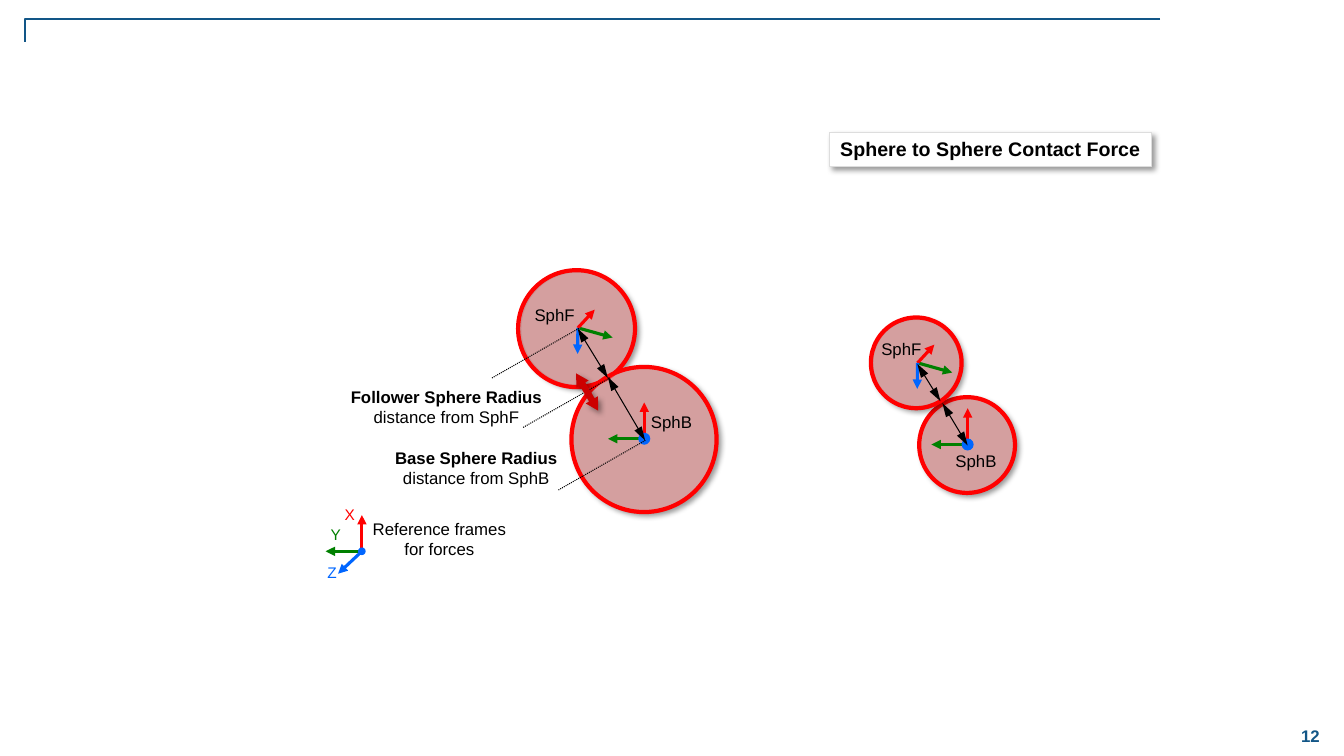
from lxml import etree
from pptx import Presentation
from pptx.dml.color import RGBColor
from pptx.enum import dml, shapes, text
from pptx.oxml import ns
from pptx.util import Pt

BLACK = RGBColor(0x00, 0x00, 0x00)
WHITE = RGBColor(0xFF, 0xFF, 0xFF)
NAVY = RGBColor(0x12, 0x56, 0x87)
RED = RGBColor(0xFF, 0x00, 0x00)
GREEN = RGBColor(0x00, 0x80, 0x00)
BLUE = RGBColor(0x00, 0x66, 0xFF)
PINK = RGBColor(0xEA, 0x80, 0x80)
GREY = RGBColor(0xBF, 0xBF, 0xBF)
GREY_EDGE = RGBColor(0xA6, 0xA6, 0xA6)
FORCE_RED = RGBColor(0xCC, 0x00, 0x00)
TITLE_EDGE = RGBColor(0xDD, 0xDD, 0xDD)

prs = Presentation()
prs.slide_width, prs.slide_height = Pt(960), Pt(540)
slide = prs.slides.add_slide(prs.slide_layouts[5])


def write(words, box, holder=None, size=12, color=BLACK, bold=False, lead=False,
          align=text.PP_ALIGN.CENTER, anchor=text.MSO_ANCHOR.TOP, wrap=False):
    """Fill a holder, or a new text box, with one paragraph; lead makes its first line bold."""
    if holder is None:
        holder = slide.shapes.add_textbox(0, 0, 0, 0)
    holder.left, holder.top, holder.width, holder.height = map(Pt, box)
    frame = holder.text_frame
    frame.word_wrap = wrap
    frame.auto_size = text.MSO_AUTO_SIZE.NONE
    frame.vertical_anchor = anchor
    paragraph = frame.paragraphs[0]
    paragraph.alignment = align
    for number, line in enumerate(words.split("\n")):
        if number:
            paragraph.add_line_break()
        run = paragraph.add_run()
        run.text = line
        run.font.name = "Arial"
        run.font.size = Pt(size)
        run.font.bold = bold or (lead and number == 0)
        run.font.color.rgb = color


def draw_line(start, end, color, width, heads=(), length="med",
              kind=shapes.MSO_CONNECTOR.STRAIGHT):
    """Draw a connector; heads lists its headEnd and tailEnd arrowheads."""
    line = slide.shapes.add_connector(kind, *map(Pt, start + end))
    line.line.color.rgb = color
    line.line.width = Pt(width)
    for head in heads:
        etree.SubElement(line.line._get_or_add_ln(), ns.qn(f"a:{head}"),
                         type="triangle", w="med", len=length)
    etree.SubElement(line._element.spPr, ns.qn("a:effectLst"))
    return line


# Slide frame and number
corner = draw_line((828.7, 13.7), (18, 30.2), NAVY, 1, kind=shapes.MSO_CONNECTOR.ELBOW)
corner_bend = corner._element.spPr.find(ns.qn("a:prstGeom")).get_or_add_avLst()
etree.SubElement(corner_bend, ns.qn("a:gd"), name="adj1", fmla="val 100000")
write("12", (912, 510.5, 48, 30), color=NAVY, bold=True, anchor=text.MSO_ANCHOR.MIDDLE)

# Title
title = slide.shapes.title
write("Sphere to Sphere Contact Force", (592.6, 94.5, 229.7, 24.5), title, size=14, bold=True)
title.fill.solid()
title.fill.fore_color.rgb = WHITE
title.line.color.rgb = TITLE_EDGE
title.line.width = Pt(0.75)
title.shadow.inherit = False
raised = [title]

# Spheres: a grey solid with a shadow, under a translucent contact surface
for is_surface, left, top, diameter in (
    (False, 371.5, 193.7, 82.1), (False, 408.2, 262.1, 103.7),
    (True, 370.1, 193, 83.5), (True, 408.2, 262.1, 103.7),
    (False, 656.6, 283.7, 68.4), (True, 656.6, 283.7, 68.4),
    (False, 622.8, 227.5, 63.4), (True, 622.1, 226.8, 64.8),
):
    sphere = slide.shapes.add_shape(shapes.MSO_SHAPE.OVAL, Pt(left), Pt(top),
                                    Pt(diameter), Pt(diameter))
    sphere.shadow.inherit = False
    sphere.fill.solid()
    sphere.fill.fore_color.rgb = PINK if is_surface else GREY
    sphere.line.color.rgb = RED if is_surface else GREY_EDGE
    sphere.line.width = Pt(3 if is_surface else 2)
    if is_surface:
        fill_color = sphere._element.spPr.find(f"{ns.qn('a:solidFill')}/{ns.qn('a:srgbClr')}")
        etree.SubElement(fill_color, ns.qn("a:alpha"), val="50000")
    else:
        raised.append(sphere)

# Reference frames, as axis tips measured from their origin
base_axes = [(RED, 0, -25.9), (GREEN, -25.9, 0)]
key_axes = base_axes + [(BLUE, -17, 16)]
follower_axes = [(GREEN, 24.8, 6.9), (RED, 12, -13), (BLUE, -0.2, 18.6)]
for x, y, axes, dot in (
    (258.5, 393.8, key_axes, 5.5), (460.2, 313.4, base_axes, 8.6),
    (691.2, 317.5, base_axes, 8.6), (412.8, 234.2, follower_axes, 0),
    (655.4, 259.2, follower_axes, 0),
):
    for color, dx, dy in axes:
        draw_line((x, y), (x + dx, y + dy), color, 2.25, ["tailEnd"])
    if dot:
        origin = slide.shapes.add_shape(shapes.MSO_SHAPE.OVAL, Pt(x - dot / 2),
                                        Pt(y - dot / 2), Pt(dot), Pt(dot))
        origin.shadow.inherit = False
        origin.fill.solid()
        origin.fill.fore_color.rgb = BLUE
        origin.line.fill.background()

# Radii from each centre to the contact point
for center, contact in (
    ((460.8, 314.6), (434.2, 269.3)), ((412.6, 234.7), (434.2, 270)),
    ((691.2, 318.2), (673.2, 288)), ((655.2, 259.9), (671.8, 286.6)),
):
    draw_line(center, contact, BLACK, 0.75, ["headEnd", "tailEnd"], length="lg")

# Dotted extension lines
for x, y in ((351.4, 270), (373.7, 305.3), (398.9, 350)):
    extension = draw_line((x, y), (x + 62.6, y - 35.7), BLACK, 0.75)
    extension.line.dash_style = dml.MSO_LINE.ROUND_DOT

# Contact force
force = slide.shapes.add_shape(shapes.MSO_SHAPE.LEFT_RIGHT_ARROW,
                               Pt(403.9), Pt(275), Pt(31), Pt(10.1))
force.adjustments[0], force.adjustments[1] = 0.45, 0.89
force.rotation = 59.3
force.shadow.inherit = False
force.fill.solid()
force.fill.fore_color.rgb = FORCE_RED
force.line.fill.background()
raised.append(force)

# Labels
write("Follower Sphere Radius\ndistance from SphF", (242.6, 272.9, 152.6, 36), lead=True)
write("Base Sphere Radius\ndistance from SphB", (274.3, 316.1, 131.8, 36), lead=True)
write("Reference frames\nfor forces", (258.5, 367.2, 110.9, 36))
for name, left, top in (("SphB", 457.9, 290.9), ("SphF", 374.4, 213.8),
                        ("SphB", 675.4, 318.2), ("SphF", 622.1, 238.3)):
    write(name, (left, top, 43.5, 21.6))
for name, color, left, top in (("X", RED, 239, 357.1), ("Y", GREEN, 229, 371.5),
                               ("Z", BLUE, 226.8, 398.9)):
    write(name, (left, top, 21, 20.9), size=11, color=color, align=text.PP_ALIGN.LEFT)

# Shadows
for part in raised:
    effects = part._element.spPr.find(ns.qn("a:effectLst"))
    shadow = etree.SubElement(effects, ns.qn("a:outerShdw"), blurRad=str(Pt(4)),
                              dist=str(Pt(3)), dir="2700000", algn="tl", rotWithShape="0")
    shade = etree.SubElement(shadow, ns.qn("a:srgbClr"), val=str(BLACK))
    etree.SubElement(shade, ns.qn("a:alpha"), val="40000")

prs.save("out.pptx")
